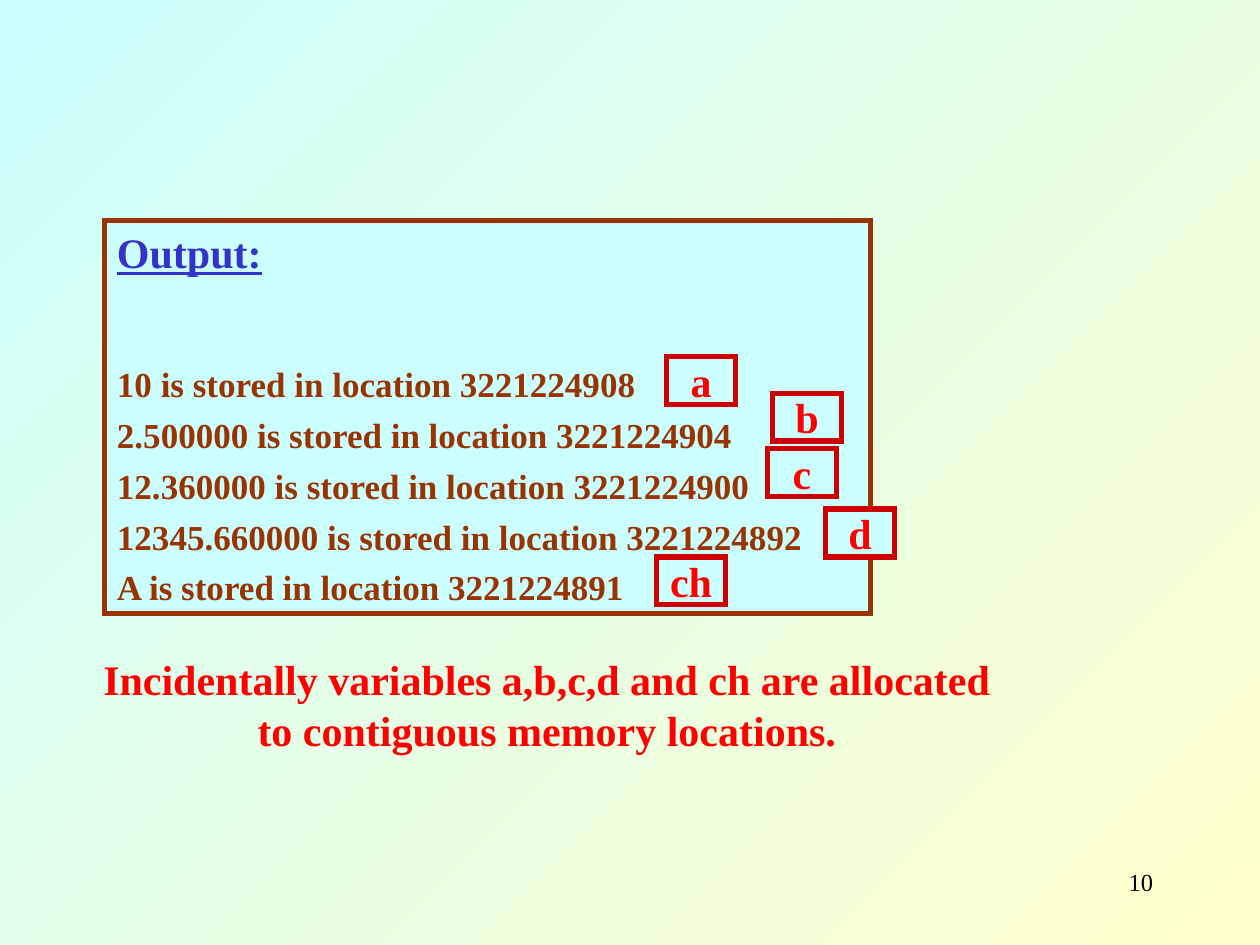
from lxml.etree import SubElement
from pptx import Presentation
from pptx.dml.color import RGBColor
from pptx.enum.shapes import MSO_SHAPE
from pptx.enum.text import MSO_ANCHOR, PP_ALIGN
from pptx.oxml.ns import qn
from pptx.util import Inches, Pt

COLORS = {
    "cyan": "CCFFFF",
    "cream": "FFFFCC",
    "brown": "993300",
    "blue": "3333CC",
    "red": "FF0000",
    "dark red": "CC0000",
    "black": "000000",
}


def add_text(paragraph, text, size, color, bold=True, align=PP_ALIGN.LEFT):
    paragraph.alignment = align
    run = paragraph.add_run()
    run.text = text
    run.font.name = "Times New Roman"
    run.font.size = Pt(size)
    run.font.bold = bold
    run.font.color.rgb = RGBColor.from_string(COLORS[color])
    return run


def add_box(left, top, width, height, line_color):
    """Add a cyan box with a square-cornered border and return its text frame."""
    box = slide.shapes.add_shape(
        MSO_SHAPE.RECTANGLE, Inches(left), Inches(top), Inches(width), Inches(height))
    box.shadow.inherit = False
    box.fill.solid()
    box.fill.fore_color.rgb = RGBColor.from_string(COLORS["cyan"])
    box.line.color.rgb = RGBColor.from_string(COLORS[line_color])
    box.line.width = Pt(3)
    border = box.element.spPr.find(qn("a:ln"))
    SubElement(border, qn("a:miter"), lim="800000")
    return box.text_frame


prs = Presentation()
prs.slide_width = Inches(10)
prs.slide_height = Inches(7.5)
slide = prs.slides.add_slide(prs.slide_layouts[6])

# Background
background = slide.background.fill
background.gradient()
background.gradient_angle = 135
for stop, name in zip(background.gradient_stops, ("cream", "cyan")):
    stop.color.rgb = RGBColor.from_string(COLORS[name])

# Program output
output = add_box(0.83, 1.75, 6.08, 3.12, "brown")
output.word_wrap = True
output.vertical_anchor = MSO_ANCHOR.TOP
heading = add_text(output.paragraphs[0], "Output:", 24, "blue")
heading.font.underline = True

stored_values = [
    ("10", "3221224908"),
    ("2.500000", "3221224904"),
    ("12.360000", "3221224900"),
    ("12345.660000", "3221224892"),
    ("A", "3221224891"),
]
for index, (value, location) in enumerate(stored_values):
    output_line = output.add_paragraph()
    output_line.space_before = Pt(5 if index else 49)
    add_text(output_line, f"{value} is stored in location {location}", 20, "brown")

# Remark below the output
remark = slide.shapes.add_textbox(
    Inches(0.72), Inches(5.14), Inches(7.24), Inches(0.9)).text_frame
remark.word_wrap = False
add_text(remark.paragraphs[0], "Incidentally variables a,b,c,d and ch are allocated",
         24, "red", align=PP_ALIGN.CENTER)
add_text(remark.add_paragraph(), "to contiguous memory locations.",
         24, "red", align=PP_ALIGN.CENTER)

# Variable names beside their output lines
variables = [
    ("a", 5.29, 2.83),
    ("b", 6.13, 3.12),
    ("c", 6.09, 3.56),
    ("d", 6.55, 4.04),
    ("ch", 5.21, 4.42),
]
for name, left, top in variables:
    variable = add_box(left, top, 0.55, 0.38, "dark red")
    variable.word_wrap = False
    variable.vertical_anchor = MSO_ANCHOR.MIDDLE
    add_text(variable.paragraphs[0], name, 24, "red", align=PP_ALIGN.CENTER)

# Slide number
page_number = slide.shapes.add_textbox(
    Inches(7.17), Inches(6.83), Inches(2.08), Inches(0.5)).text_frame
page_number.word_wrap = True
add_text(page_number.paragraphs[0], "10", 14, "black", bold=False, align=PP_ALIGN.RIGHT)

prs.save("out.pptx")
